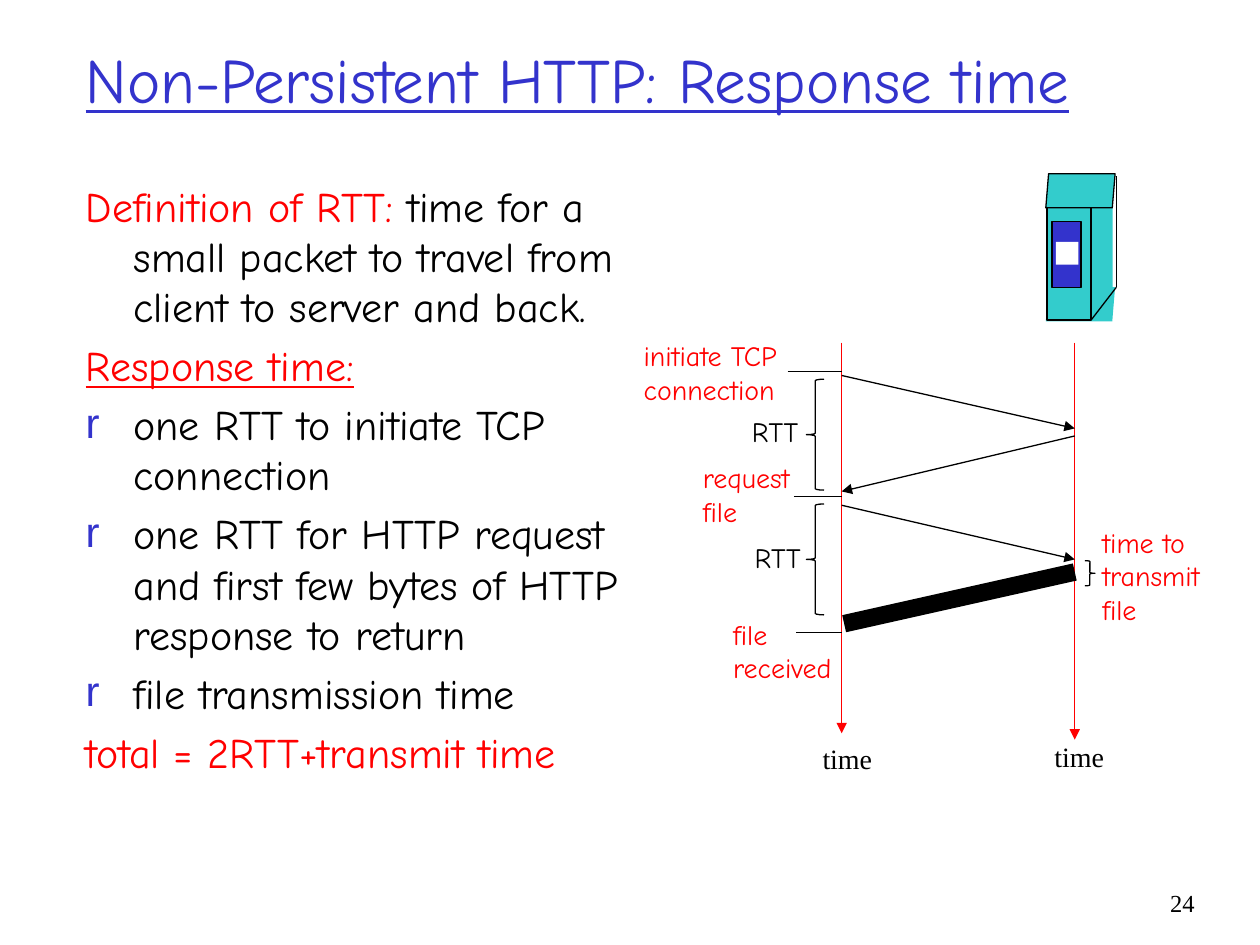
from lxml import etree
from pptx import Presentation
from pptx.dml.color import RGBColor
from pptx.enum.shapes import MSO_CONNECTOR, MSO_SHAPE
from pptx.enum.text import MSO_ANCHOR, MSO_AUTO_SIZE, PP_ALIGN
from pptx.oxml.ns import qn
from pptx.util import Inches, Pt

STRAIGHT = MSO_CONNECTOR.STRAIGHT
RECT, SLANT = MSO_SHAPE.RECTANGLE, MSO_SHAPE.PARALLELOGRAM
LEFT_BRACE, RIGHT_BRACE = MSO_SHAPE.LEFT_BRACE, MSO_SHAPE.RIGHT_BRACE
LEFT, RIGHT = PP_ALIGN.LEFT, PP_ALIGN.RIGHT

COLORS = {"blue": "3333CC", "red": "FF0000", "black": "000000",
          "teal": "33CCCC", "white": "FFFFFF"}
COMIC, TIMES = "Comic Neue", "Times New Roman"
HANGING = 0.38
THIN = 0.75

TITLE = "Non-Persistent HTTP: Response time"
# (has a bullet, [(text, color, underlined)])
BODY = [
    (False, [("Definition of RTT:", "red", False),
             (" time for a small packet to travel from client to server and back.",
              "black", False)]),
    (False, [("Response time:", "red", True)]),
    (True, [("one RTT to initiate TCP connection", "black", False)]),
    (True, [("one RTT for HTTP request and first few bytes of HTTP response to return",
             "black", False)]),
    (True, [("file transmission time", "black", False)]),
    (False, [("total = 2RTT+transmit time", "red", False)]),
]

CLIENT, SERVER = 6.68, 8.53  # x of the two lifelines
LIFELINE_TOP = 2.72
LIFELINES = [(CLIENT, 5.82), (SERVER, 5.87)]  # x, bottom
MESSAGES = [  # from x, from y, to x, to y
    (CLIENT, 2.98, SERVER, 3.4),
    (SERVER, 3.46, CLIENT, 3.9),
    (CLIENT, 4.01, SERVER, 4.44),
]
FILE_TRANSFER = (SERVER, 4.54, CLIENT + 0.02, 4.95)
EVENTS = [(6.25, 2.95), (6.3, 3.94), (6.32, 5.02)]  # tick start x, y
BRACES = [
    (LEFT_BRACE, 6.4, 3.01, 0.14, 0.88),
    (LEFT_BRACE, 6.4, 4.0, 0.14, 0.88),
    (RIGHT_BRACE, 8.61, 4.45, 0.08, 0.2),
]
LABELS = [  # lines, left, top, width, color, font
    (["initiate TCP", "connection"], 5.01, 2.64, 1.42, "red", COMIC),
    (["RTT"], 5.87, 3.24, 0.64, "black", COMIC),
    (["request", "file"], 5.48, 3.61, 1.0, "red", COMIC),
    (["RTT"], 5.89, 4.24, 0.64, "black", COMIC),
    (["file", "received"], 5.72, 4.85, 1.09, "red", COMIC),
    (["time to", "transmit", "file"], 8.65, 4.12, 1.16, "red", COMIC),
    (["time"], 6.43, 5.84, 0.64, "black", TIMES),
    (["time"], 8.27, 5.82, 0.64, "black", TIMES),
]
COMPUTER_PARTS = [  # shape, left, top, width, height, fill, outlined
    (SLANT, 8.3, 2.28, 0.55, 0.27, "teal", False),
    (RECT, 8.58, 1.39, 0.25, 0.9, "teal", False),
    (RECT, 8.31, 1.64, 0.35, 0.9, "teal", True),
    (SLANT, 8.3, 1.38, 0.55, 0.27, "teal", True),
    (RECT, 8.35, 1.76, 0.23, 0.52, "blue", True),
    (RECT, 8.38, 1.92, 0.18, 0.18, "white", False),
]
COMPUTER_EDGES = [(8.86, 1.4, 8.86, 2.28), (8.86, 2.28, 8.66, 2.54)]


def rgb(color):
    return RGBColor.from_string(COLORS[color])


def inches(*lengths):
    return [Inches(length) for length in lengths]


def place(shape, *box):
    shape.left, shape.top, shape.width, shape.height = inches(*box)


def add_run(paragraph, text, color, **font_values):
    run = paragraph.add_run()
    run.text = text
    run.font.color.rgb = rgb(color)
    for key, value in font_values.items():
        setattr(run.font, key, value)


def add_label(slide, lines, box, color, font, size=16, align=LEFT):
    frame = slide.shapes.add_textbox(*inches(*box)).text_frame
    frame.word_wrap = True
    for i, line in enumerate(lines):
        paragraph = frame.add_paragraph() if i else frame.paragraphs[0]
        paragraph.alignment = align
        add_run(paragraph, line, color, name=font, size=Pt(size))


def add_line(slide, ends, color="black", weight=THIN, arrow=False):
    line = slide.shapes.add_connector(STRAIGHT, *inches(*ends))
    line.line.color.rgb = rgb(color)
    line.line.width = Pt(weight)
    if arrow:
        etree.SubElement(line.line._get_or_add_ln(), qn("a:tailEnd"), type="triangle")
    etree.SubElement(line._element.spPr, qn("a:effectLst"))


def add_part(slide, kind, box, fill=None, outlined=True):
    part = slide.shapes.add_shape(kind, *inches(*box))
    part.shadow.inherit = False
    if kind != RECT:
        part.adjustments[0] = 0.083
    if fill:
        part.fill.solid()
        part.fill.fore_color.rgb = rgb(fill)
    else:
        part.fill.background()
    if outlined:
        part.line.color.rgb = rgb("black")
        part.line.width = Pt(THIN)
    else:
        part.line.fill.background()


def set_bullet(paragraph, bulleted):
    """Give the paragraph a hanging indent, with or without a blue bullet."""
    props = paragraph._p.get_or_add_pPr()
    props.set("marL", str(Inches(HANGING)))
    props.set("indent", str(-Inches(HANGING)))
    if not bulleted:
        etree.SubElement(props, qn("a:buNone"))
        return
    bullet_color = etree.SubElement(props, qn("a:buClr"))
    etree.SubElement(bullet_color, qn("a:srgbClr"), val=COLORS["blue"])
    etree.SubElement(props, qn("a:buFont"), typeface="Arial")
    etree.SubElement(props, qn("a:buChar"), char="r")


def fill_title(title):
    place(title, 0.58, 0, 8.99, 1.25)
    frame = title.text_frame
    frame.auto_size = MSO_AUTO_SIZE.NONE
    frame.vertical_anchor = MSO_ANCHOR.MIDDLE
    frame.paragraphs[0].alignment = LEFT
    add_run(frame.paragraphs[0], TITLE, "blue", name=COMIC, size=Pt(36), underline=True)


def fill_body(body):
    place(body, 0.58, 1.38, 4.47, 5.08)
    frame = body.text_frame
    frame.auto_size = MSO_AUTO_SIZE.NONE
    for i, (bulleted, runs) in enumerate(BODY):
        paragraph = frame.add_paragraph() if i else frame.paragraphs[0]
        set_bullet(paragraph, bulleted)
        paragraph.space_before = Pt(4.8 if i else 0)
        for text, color, underlined in runs:
            add_run(paragraph, text, color, name=COMIC, size=Pt(24), underline=underlined)


def draw_computer(slide):
    for kind, *box, fill, outlined in COMPUTER_PARTS:
        add_part(slide, kind, box, fill, outlined)
    for edge in COMPUTER_EDGES:
        add_line(slide, edge)


def draw_timeline(slide):
    for x, bottom in LIFELINES:
        add_line(slide, (x, LIFELINE_TOP, x, bottom), "red", arrow=True)
    for message in MESSAGES:
        add_line(slide, message, arrow=True)
    add_line(slide, FILE_TRANSFER, weight=10)
    for start, y in EVENTS:
        add_line(slide, (start, y, CLIENT, y))
    for kind, *box in BRACES:
        add_part(slide, kind, box)
    for lines, left, top, width, color, font in LABELS:
        height = 0.1 + 0.27 * len(lines)
        add_label(slide, lines, (left, top, width, height), color, font)


def main():
    deck = Presentation()
    deck.slide_width, deck.slide_height = inches(10, 7.5)
    slide = deck.slides.add_slide(deck.slide_layouts[1])
    fill_title(slide.shapes.title)
    fill_body(slide.placeholders[1])
    draw_computer(slide)
    draw_timeline(slide)
    add_label(slide, ["24"], (9.08, 7, 0.5, 0.5), "black", TIMES, size=14, align=RIGHT)
    deck.save("out.pptx")


if __name__ == "__main__":
    main()
